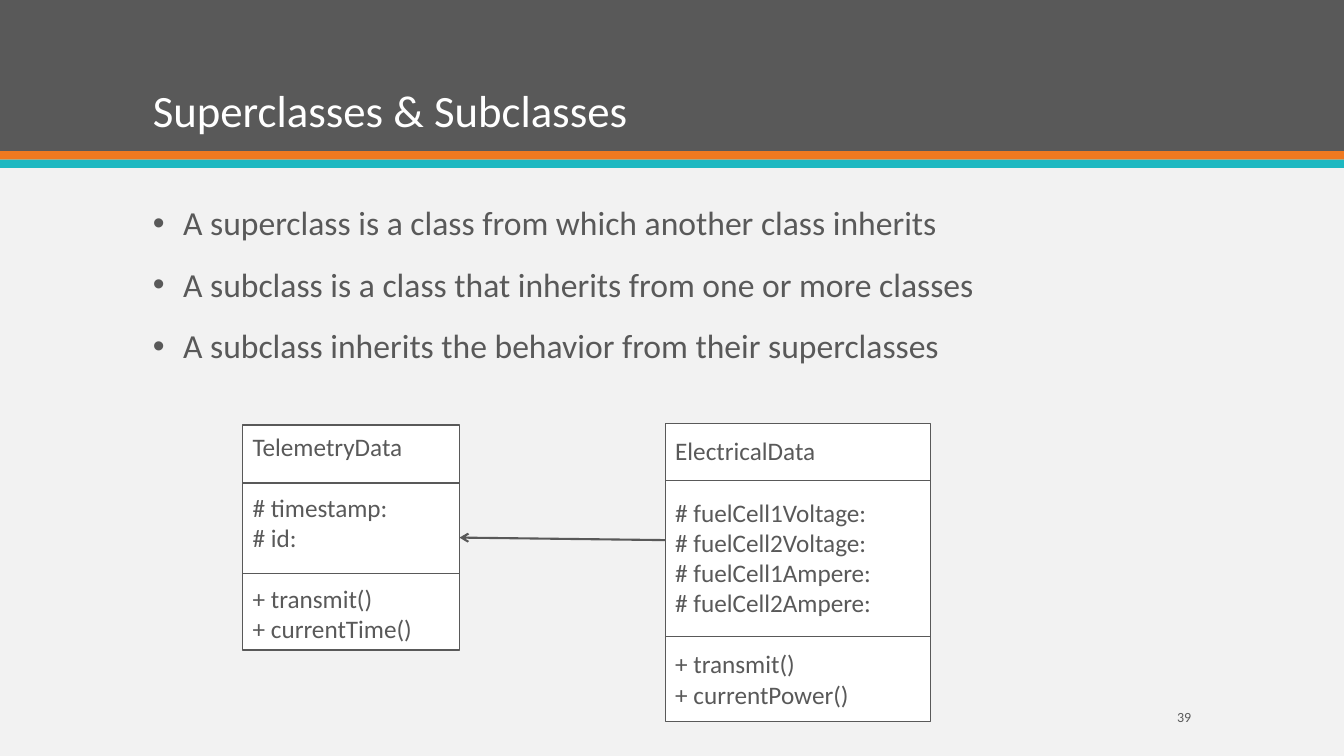
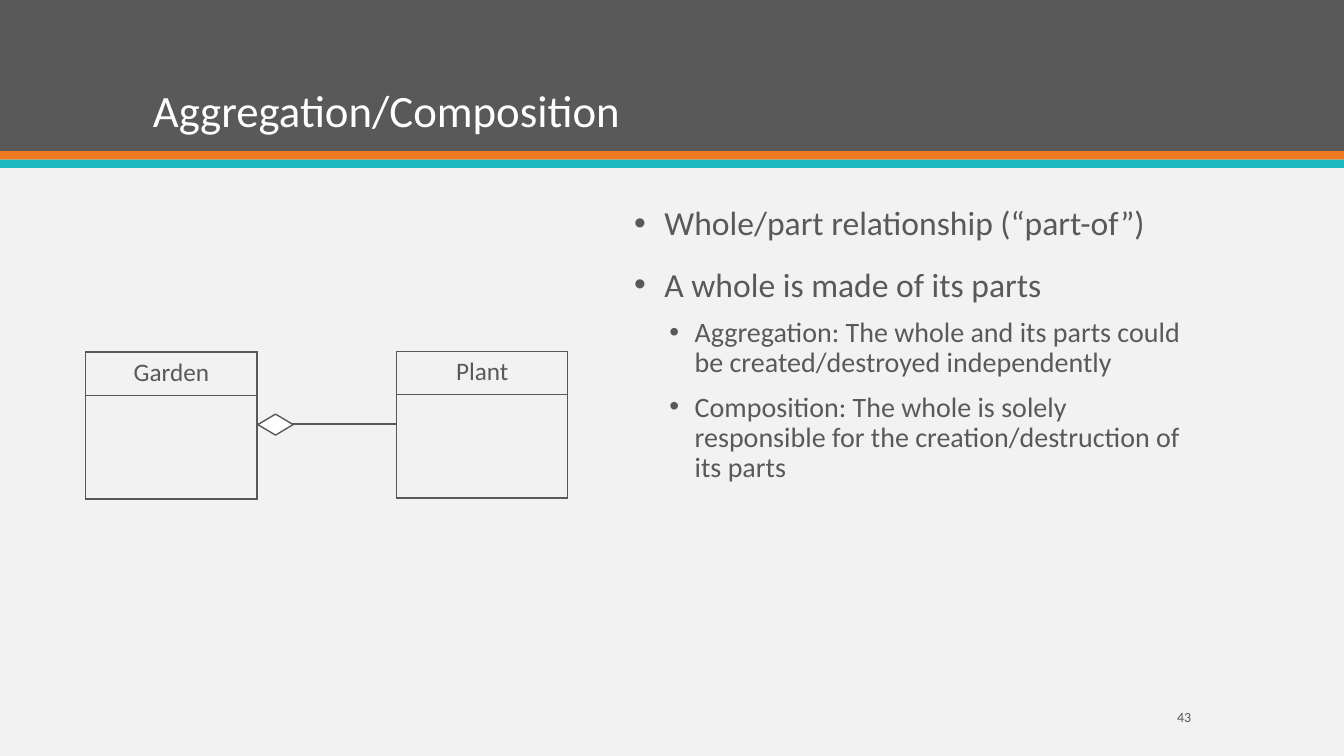
from lxml.etree import SubElement
from pptx import Presentation
from pptx.dml.color import RGBColor
from pptx.enum.shapes import MSO_CONNECTOR, MSO_SHAPE
from pptx.enum.text import MSO_ANCHOR, MSO_AUTO_SIZE, PP_ALIGN
from pptx.oxml.ns import qn
from pptx.util import Inches, Pt

COLORS = {"ink": "595959", "paper": "F2F2F2", "white": "FFFFFF",
          "orange": "EF7920", "teal": "1EB8C1"}
FONT = "Calibri"
CELL = Inches(1 / 12)  # the slide is a grid of 160 columns by 90 rows
COLUMNS, ROWS = 160, 90
MARGIN, CONTENT = 17, 126  # left edge and width of the content area
LEVELS = [(24, 18, 0.3, 0.3), (20, 10, 0.6, 0.25)]  # size, space, indent, hang


def grid(*lengths):
    return [round(CELL * length) for length in lengths]


def color(name):
    return RGBColor.from_string(COLORS[name])


class Deck:
    def __init__(self):
        self.file = Presentation()
        self.file.slide_width, self.file.slide_height = grid(COLUMNS, ROWS)
        self.layout = self.file.slide_layouts[1]
        self.slide = None
        backdrop = self.file.slide_master.background.fill
        backdrop.solid()
        backdrop.fore_color.rgb = color("paper")

    def start(self, heading, number):
        self.slide = self.file.slides.add_slide(self.layout)
        if len(self.file.slides) == 1:
            self.bands()
        title = self.slide.shapes.title
        self.place(title, MARGIN, 3.4, CONTENT, 13.5)
        title.text_frame.text = heading
        self.style(title.text_frame, 32, "white", MSO_ANCHOR.BOTTOM)
        title.text_frame.paragraphs[0].line_spacing = 0.9
        # Slide number
        page = self.slide.shapes.add_textbox(*grid(125, 83.6, 18, 3.6))
        page.text_frame.text = str(number)
        self.style(page.text_frame, 10, align=PP_ALIGN.RIGHT)

    def bands(self):
        """Draw the header bands and hand them to the shared layout."""
        for order, (row, height, fill) in enumerate(
                [(0, 18, "ink"), (18, 1, "orange"), (19, 1, "teal")]):
            band = self.shape(MSO_SHAPE.RECTANGLE, 0, row, COLUMNS, height, fill)
            band.line.fill.background()
            band.element.nvSpPr.cNvPr.set("id", str(20 + order))
            self.layout.shapes.element.insert(2 + order, band.element)

    def place(self, item, *box):
        item.left, item.top, item.width, item.height = grid(*box)

    def style(self, frame, size, ink="ink", anchor=MSO_ANCHOR.MIDDLE,
              align=PP_ALIGN.LEFT):
        frame.word_wrap = True
        frame.auto_size = MSO_AUTO_SIZE.NONE
        frame.vertical_anchor = anchor
        for paragraph in frame.paragraphs:
            self.format(paragraph, size, ink, align)

    def format(self, paragraph, size, ink="ink", align=PP_ALIGN.LEFT):
        paragraph.alignment = align
        for run in paragraph.runs:
            run.font.name, run.font.size = FONT, Pt(size)
            run.font.color.rgb = color(ink)

    def shape(self, preset, column, row, width, height, fill):
        shape = self.slide.shapes.add_shape(
            preset, *grid(column, row, width, height))
        shape.shadow.inherit = False
        shape.fill.solid()
        shape.fill.fore_color.rgb = color(fill)
        shape.line.color.rgb = color("ink")
        shape.line.width = Pt(1)
        return shape

    def line(self, start, end, weight=1.0):
        line = self.slide.shapes.add_connector(
            MSO_CONNECTOR.STRAIGHT, *grid(*start, *end))
        line.line.color.rgb = color("ink")
        line.line.width = Pt(weight)
        SubElement(line.element.spPr, qn("a:effectLst"))
        return line

    def bullets(self, column, width, items):
        body = self.slide.placeholders[1]
        self.place(body, column, 24, width, 57)
        frame = body.text_frame
        frame.text = "\n".join(text for _, text in items)
        self.style(frame, LEVELS[0][0], anchor=MSO_ANCHOR.TOP)
        for paragraph, (level, _) in zip(frame.paragraphs, items):
            size, space, indent, hang = LEVELS[level]
            self.format(paragraph, size)
            paragraph.level = level
            paragraph.line_spacing = 0.9
            paragraph.space_before = Pt(space)
            properties = paragraph._p.get_or_add_pPr()
            properties.set("marL", str(Inches(indent)))
            properties.set("indent", str(-Inches(hang)))
            SubElement(properties, qn("a:buFont"), typeface="Arial")
            SubElement(properties, qn("a:buChar"), char="•")

    def class_box(self, column, row, width, sections):
        """Draw a class as (height, lines) sections parted by rules."""
        box = self.shape(MSO_SHAPE.RECTANGLE, column, row, width,
                         sum(height for height, _ in sections), "white")
        frame = box.text_frame
        frame.text = "\n".join(text for _, lines in sections for text in lines)
        self.style(frame, 18)
        first = 0
        for height, lines in sections[:-1]:
            row += height
            first += len(lines)
            self.line((column, row), (column + width, row))
            frame.paragraphs[first].space_before = Pt(22)
        return box

    def class_table(self, column, row, name):
        width, heights = 20.4, (5.2, 12.3)
        table = self.slide.shapes.add_table(
            2, 1, *grid(column, row, width, sum(heights))).table
        table.first_row = table.horz_banding = False
        for part, height in zip(table.rows, grid(*heights)):
            part.height = height
            cell = part.cells[0]
            properties = cell._tc.get_or_add_tcPr()
            for side in ("lnL", "lnR", "lnT", "lnB"):
                border = SubElement(properties, qn(f"a:{side}"), w=str(Pt(1)))
                paint = SubElement(border, qn("a:solidFill"))
                SubElement(paint, qn("a:srgbClr"), val=COLORS["ink"])
            cell.fill.background()
        label = table.cell(0, 0).text_frame.paragraphs[0]
        label.text = name
        self.format(label, 18, align=PP_ALIGN.CENTER)


def main():
    deck = Deck()

    # Inheritance
    deck.start("Superclasses & Subclasses", 39)
    deck.bullets(MARGIN, CONTENT, [
        (0, "A superclass is a class from which another class inherits"),
        (0, "A subclass is a class that inherits from one or more classes"),
        (0, "A subclass inherits the behavior from their superclasses")])
    telemetry = deck.class_box(28.9, 50.6, 25.8, [
        (6.9, ["TelemetryData"]),
        (10.8, ["# timestamp:", "# id:"]),
        (9.1, ["+ transmit()", "+ currentTime()"])])
    deck.class_box(79.2, 50.4, 31.6, [
        (6.8, ["ElectricalData"]),
        (18.6, ["# fuelCell1Voltage:", "# fuelCell2Voltage:",
                "# fuelCell1Ampere:", "# fuelCell2Ampere:"]),
        (10.1, ["+ transmit()", "+ currentPower()"])])
    inherits = deck.line((79.2, 64.3), (54.7, 64), 1.5)
    inherits.end_connect(telemetry, 3)
    SubElement(inherits.line._ln, qn("a:tailEnd"), type="arrow")

    # Whole and parts
    deck.start("Aggregation/Composition", 43)
    deck.bullets(74.3, 68.7, [
        (0, "Whole/part relationship (“part-of”)"),
        (0, "A whole is made of its parts"),
        (1, "Aggregation: The whole and its parts could be "
            "created/destroyed independently"),
        (1, "Composition: The whole is solely responsible for the "
            "creation/destruction of its parts")])
    deck.class_table(10.2, 41.9, "Garden")
    deck.class_table(47.2, 41.8, "Plant")
    deck.line((30.6, 50.5), (47.2, 50.5), 1.5)
    deck.shape(MSO_SHAPE.DIAMOND, 30.7, 49.3, 4.2, 2.5, "white")

    deck.file.save("out.pptx")


if __name__ == "__main__":
    main()
